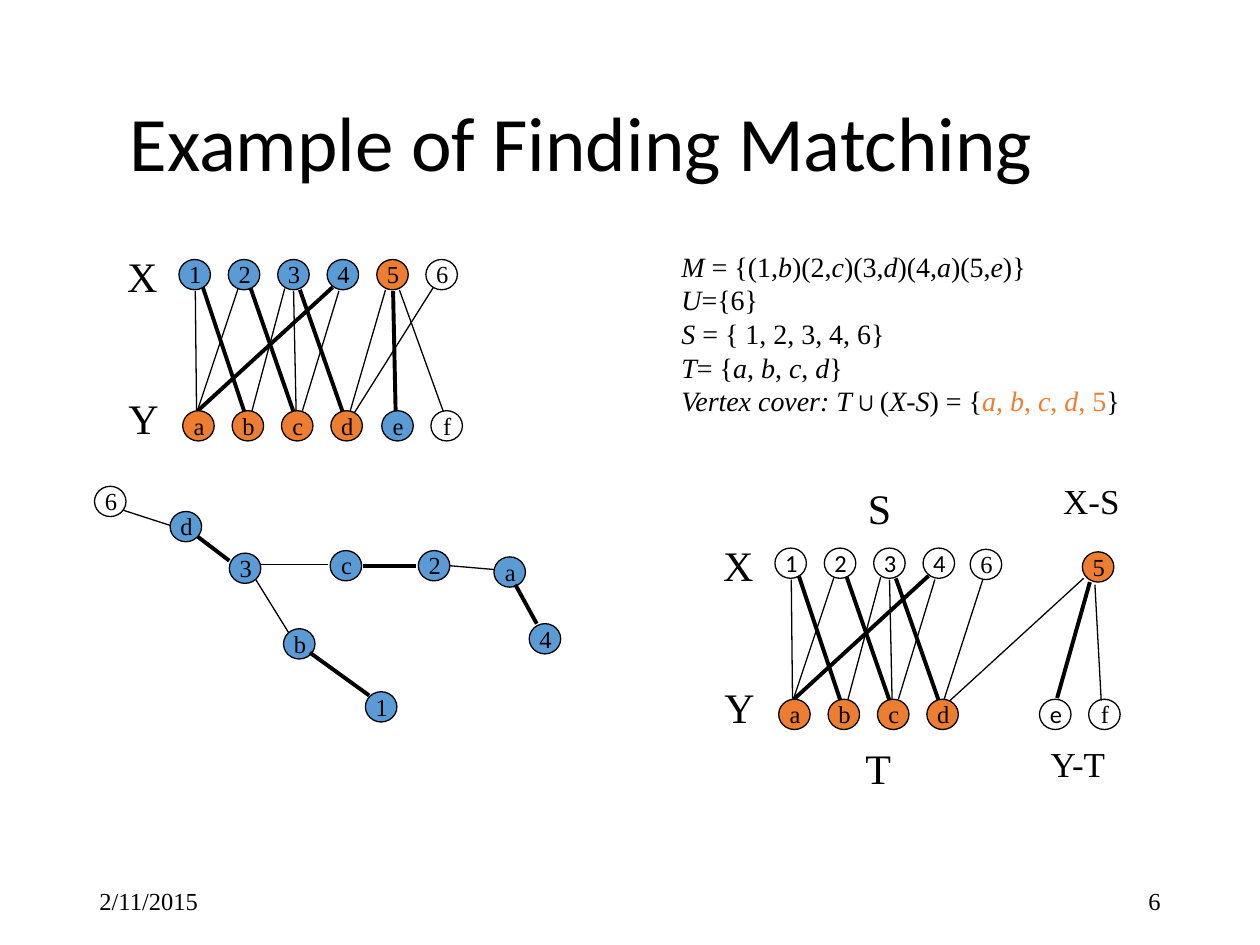
from lxml.etree import SubElement
from pptx import Presentation
from pptx.dml.color import RGBColor
from pptx.enum.shapes import MSO_CONNECTOR as Connector, MSO_SHAPE as Shape
from pptx.enum.text import MSO_ANCHOR as Anchor, MSO_AUTO_SIZE as AutoSize, PP_ALIGN as Align
from pptx.oxml.ns import qn
from pptx.util import Inches, Pt

SERIF, SANS = "Times New Roman", "Calibri"
BLACK, BLUE, ORANGE = "000000", "5B9BD5", "ED7D31"
THIN, THICK = 0.75, 2.25
NODE_WIDTH, NODE_HEIGHT = 0.25, 0.24
PITCH = 1.96 / 5  # six nodes span a row
SHIFT = (4.73, 2.29)  # from the first bipartite graph to the second

# Edges: x1, y1, x2, y2, weight; thick ones belong to the matching
SHARED_EDGES = [
    (1.61, 2.28, 1.94, 3.27, THICK),  # 1-b
    (2.33, 2.31, 2.35, 3.26, THIN),   # 3-c
    (1.99, 2.29, 2.33, 3.27, THICK),  # 2-c
    (1.57, 3.26, 2.64, 2.28, THICK),  # a-4
    (2.69, 2.31, 2.40, 3.26, THIN),   # 4-c
    (2.38, 2.30, 2.72, 3.27, THICK),  # 3-d
    (1.55, 2.31, 1.56, 3.26, THIN),   # 1-a
    (1.89, 2.29, 1.57, 3.25, THIN),   # 2-a
    (2.26, 2.29, 2.00, 3.26, THIN),   # 3-b
]
FULL_GRAPH_EDGES = [
    (3.06, 2.30, 2.78, 3.26, THIN),   # 5-d
    (3.17, 2.30, 3.52, 3.27, THIN),   # 5-f
    (3.12, 2.31, 3.14, 3.26, THICK),  # 5-e
    (3.44, 2.28, 2.81, 3.28, THIN),   # 6-d
]
SPLIT_GRAPH_EDGES = [
    (8.60, 4.59, 7.54, 5.56, THIN),   # 5-d
    (8.69, 4.64, 8.74, 5.56, THIN),   # 5-f
    (8.65, 4.62, 8.39, 5.54, THICK),  # 5-e
    (7.80, 4.60, 7.49, 5.56, THIN),   # 6-d
]
TREE_EDGES = [
    (0.98, 4.05, 1.35, 4.17, THIN),   # 6-d
    (1.57, 4.26, 1.82, 4.45, THICK),  # d-3
    (2.07, 4.48, 2.60, 4.48, THIN),   # 3-c
    (2.03, 4.60, 2.29, 5.02, THIN),   # 3-b
    (2.88, 4.49, 3.30, 4.49, THICK),  # c-2
    (3.57, 4.49, 3.92, 4.52, THIN),   # 2-a
    (4.09, 4.64, 4.26, 4.95, THICK),  # a-4
    (2.46, 5.18, 2.93, 5.52, THICK),  # b-1
]
TREE_NODES = [
    ("6", 0.75, 3.86, None), ("d", 1.35, 4.06, BLUE), ("3", 1.82, 4.39, BLUE),
    ("c", 2.62, 4.37, BLUE), ("2", 3.32, 4.37, BLUE), ("a", 3.92, 4.42, BLUE),
    ("4", 4.20, 4.95, BLUE), ("b", 2.25, 4.99, BLUE), ("1", 2.90, 5.49, BLUE),
]
# Underscores enclose italics, bars enclose the orange part
NOTES = [
    "_M_ = {(1,_b_)(2,_c_)(3,_d_)(4,_a_)(5,_e_)}",
    "_U_={6}",
    "_S_ = { 1, 2, 3, 4, 6}",
    "_T_= {_a_, _b_, _c_, _d_}",
    "_Vertex cover: T_∪(_X_-_S_) = {|_a_, _b_, _c_, _d_, 5|}",
]


def color(value):
    return RGBColor.from_string(value)


def style_font(font, size, name=SERIF, value=BLACK):
    font.size = Pt(size)
    font.name = name
    font.color.rgb = color(value)


def add_text(shapes, text, left, top, width, height, size, name=SERIF,
             align=Align.LEFT, anchor=Anchor.TOP, fit=AutoSize.SHAPE_TO_FIT_TEXT):
    box = shapes.add_textbox(Inches(left), Inches(top), Inches(width), Inches(height))
    frame = box.text_frame
    frame.text = text
    frame.word_wrap = True
    frame.auto_size = fit
    frame.vertical_anchor = anchor
    para = frame.paragraphs[0]
    para.alignment = align
    for span in para.runs:
        style_font(span.font, size, name)
    return box


def add_edges(page, edges, dx=0, dy=0):
    for x1, y1, x2, y2, weight in edges:
        edge = page.shapes.add_connector(
            Connector.STRAIGHT, Inches(x1 + dx), Inches(y1 + dy),
            Inches(x2 + dx), Inches(y2 + dy))
        edge.line.color.rgb = color(BLACK)
        edge.line.width = Pt(weight)
        SubElement(edge._element.spPr, qn("a:effectLst"))


def add_node(page, label, left, top, fill=None, name=SERIF):
    group = page.shapes.add_group_shape()
    circle = group.shapes.add_shape(Shape.OVAL, Inches(left), Inches(top),
                                    Inches(NODE_WIDTH), Inches(NODE_HEIGHT))
    circle.shadow.inherit = False
    circle.line.color.rgb = color(BLACK)
    circle.line.width = Pt(THIN)
    if fill:
        circle.fill.solid()
        circle.fill.fore_color.rgb = color(fill)
    else:
        circle.fill.background()
    add_text(group.shapes, label, left - 0.03, top - 0.05, 0.32, 0.33, 14, name, Align.CENTER)


def add_row(page, labels, left, top, fill=None, name=SERIF):
    for index, label in enumerate(labels):
        add_node(page, label, left + index * PITCH, top, fill, name)


def add_label(page, text, left, top, width=0.48, height=0.5, size=24):
    add_text(page.shapes, text, left, top, width, height, size)


def add_shared_graph(page, top_fill, top_name, dx=0, dy=0):
    add_edges(page, SHARED_EDGES, dx, dy)
    add_row(page, "1234", 1.42 + dx, 2.06 + dy, top_fill, top_name)
    add_row(page, "abcd", 1.45 + dx, 3.26 + dy, ORANGE)
    add_label(page, "X", 0.91 + dx, 1.94 + dy)
    add_label(page, "Y", 0.92 + dx, 3.07 + dy)


def add_full_graph(page):
    add_edges(page, FULL_GRAPH_EDGES)
    add_shared_graph(page, BLUE, SERIF)
    add_node(page, "5", 2.99, 2.06, ORANGE)
    add_node(page, "6", 3.38, 2.06)
    add_node(page, "e", 3.03, 3.26, BLUE)
    add_node(page, "f", 3.42, 3.26)


def add_tree(page):
    for label, left, top, fill in TREE_NODES:
        add_node(page, label, left, top, fill)
    add_edges(page, TREE_EDGES)


def add_split_graph(page):
    add_edges(page, SPLIT_GRAPH_EDGES)
    add_shared_graph(page, None, SANS, *SHIFT)
    add_node(page, "6", 7.7, 4.36)
    add_node(page, "5", 8.59, 4.38, ORANGE)
    add_node(page, "e", 8.25, 5.55, name=SANS)
    add_node(page, "f", 8.64, 5.55)
    add_label(page, "S", 6.79, 3.78)
    add_label(page, "T", 6.77, 5.84)
    add_label(page, "X-S", 8.34, 3.76, 0.94, 0.44, 20)
    add_label(page, "Y-T", 8.24, 5.84, 0.83, 0.44, 20)


def add_notes_text(page):
    frame = add_text(page.shapes, "", 5.31, 1.93, 3.71, 1.44, 16).text_frame
    for row, line in enumerate(NOTES):
        para = frame.add_paragraph() if row else frame.paragraphs[0]
        for part, section in enumerate(line.split("|")):
            for index, piece in enumerate(section.split("_")):
                if piece:
                    span = para.add_run()
                    span.text = piece
                    style_font(span.font, 16, value=ORANGE if part % 2 else BLACK)
                    span.font.italic = index % 2 == 1


def main():
    deck = Presentation()
    deck.slide_width, deck.slide_height = Inches(10), Inches(7.5)
    page = deck.slides.add_slide(deck.slide_layouts[6])

    # Title and footer
    title = add_text(page.shapes, "Example of Finding Matching", 0.93, 0.66, 8.5, 1, 44,
                     SANS, anchor=Anchor.MIDDLE, fit=AutoSize.NONE)
    title.text_frame.paragraphs[0].line_spacing = 0.9
    for text, left, align in (("2/11/2015", 0.69, Align.LEFT), ("6", 7.06, Align.RIGHT)):
        add_text(page.shapes, text, left, 6.95, 2.25, 0.4, 14,
                 align=align, anchor=Anchor.MIDDLE, fit=AutoSize.NONE)

    # Sets and graphs
    add_notes_text(page)
    add_full_graph(page)
    add_tree(page)
    add_split_graph(page)
    deck.save("out.pptx")


if __name__ == "__main__":
    main()
